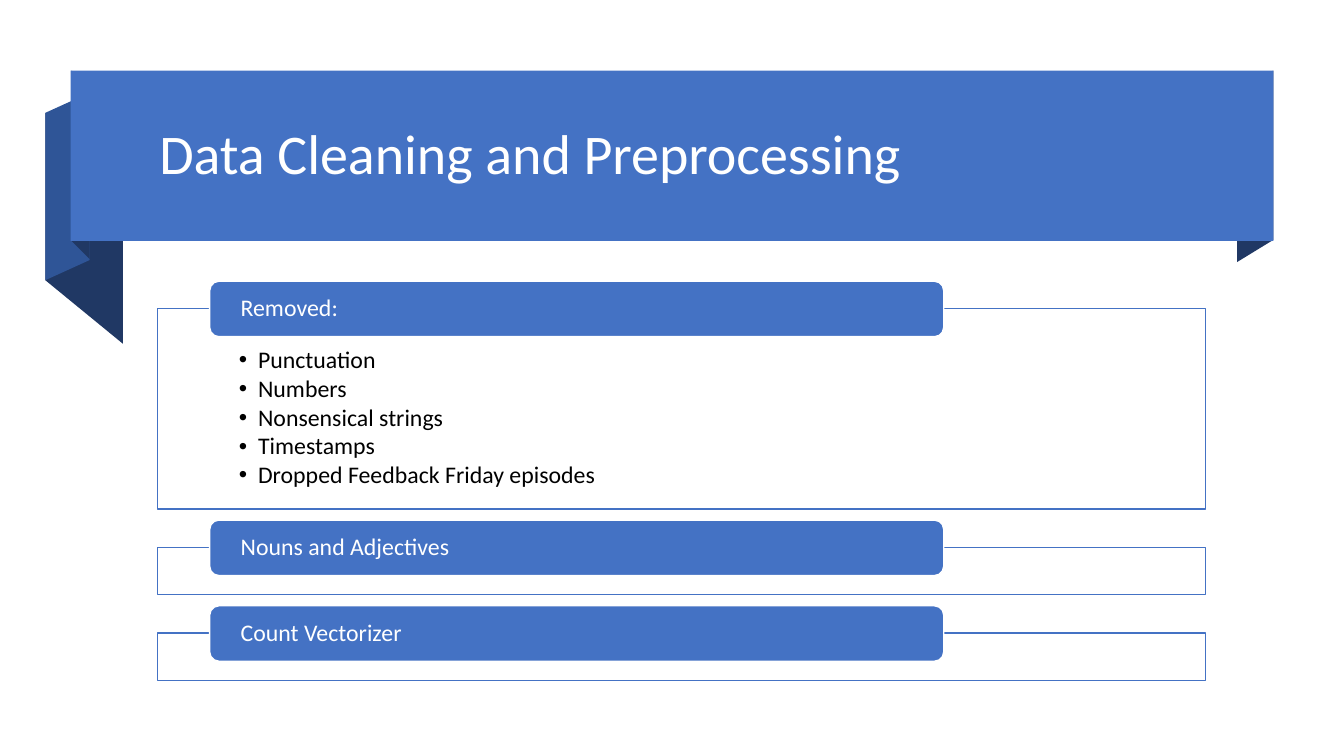
import dataclasses

import lxml.etree
import pptx
import pptx.dml.color
import pptx.enum.shapes
import pptx.enum.text
import pptx.oxml.ns
import pptx.shapes.autoshape
import pptx.slide
import pptx.text.text
import pptx.util

EMU_PER_PX = 9144
FONT = "Calibri"
BLUE = pptx.dml.color.RGBColor(0x44, 0x72, 0xC4)
MID_BLUE = pptx.dml.color.RGBColor(0x2F, 0x55, 0x97)
NAVY = pptx.dml.color.RGBColor(0x20, 0x38, 0x64)
WHITE = pptx.dml.color.RGBColor(0xFF, 0xFF, 0xFF)
BLACK = pptx.dml.color.RGBColor(0x00, 0x00, 0x00)
RECTANGLE = pptx.enum.shapes.MSO_SHAPE.RECTANGLE
ROUNDED = pptx.enum.shapes.MSO_SHAPE.ROUNDED_RECTANGLE

PANEL_LEFT, PANEL_WIDTH = 156, 1040
TAB_LEFT, TAB_WIDTH, TAB_HEIGHT = 208, 728, 55
TAB_RISE = 27
PANEL_GAP = 38
FIRST_PANEL_TOP = 306


@dataclasses.dataclass(frozen=True)
class Fold:
    points: tuple[tuple[int, int], ...]
    color: pptx.dml.color.RGBColor


@dataclasses.dataclass(frozen=True)
class Section:
    heading: str
    height: int
    items: tuple[str, ...] = ()


FOLDS = (
    Fold(((1263, 238), (1227, 260), (1227, 91), (1263, 70)), NAVY),
    Fold(((122, 341), (45, 278), (45, 112), (122, 175)), NAVY),
    Fold(((89, 258), (45, 278), (45, 112), (89, 92)), MID_BLUE),
    Fold(((89, 257), (71, 239), (71, 70), (89, 89)), NAVY),
)

SECTIONS = (
    Section(
        "Removed:",
        199,
        (
            "Punctuation",
            "Numbers",
            "Nonsensical strings",
            "Timestamps",
            "Dropped Feedback Friday episodes",
        ),
    ),
    Section("Nouns and Adjectives", 47),
    Section("Count Vectorizer", 47),
)


def px(length: int) -> pptx.util.Emu:
    return pptx.util.Emu(length * EMU_PER_PX)


def set_insets(
    frame: pptx.text.text.TextFrame, side: int, top: int, bottom: int
) -> None:
    frame.word_wrap = True
    frame.margin_left = frame.margin_right = px(side)
    frame.margin_top, frame.margin_bottom = px(top), px(bottom)


def format_para(
    para: pptx.text.text._Paragraph,
    size: int,
    color: pptx.dml.color.RGBColor,
    space_after: float = 0,
) -> None:
    para.alignment = pptx.enum.text.PP_ALIGN.LEFT
    para.line_spacing = 0.9
    para.space_after = pptx.util.Pt(space_after)
    for span in para.runs:
        span.font.name = FONT
        span.font.size = pptx.util.Pt(size)
        span.font.color.rgb = color


def add_bullet(para: pptx.text.text._Paragraph) -> None:
    properties = para._p.get_or_add_pPr()
    properties.set("marL", str(px(19)))
    properties.set("indent", str(px(-19)))
    font = lxml.etree.SubElement(properties, pptx.oxml.ns.qn("a:buFont"))
    font.set("typeface", "Arial")
    bullet = lxml.etree.SubElement(properties, pptx.oxml.ns.qn("a:buChar"))
    bullet.set("char", "•")


def add_box(
    page: pptx.slide.Slide,
    kind: pptx.enum.shapes.MSO_SHAPE,
    left: int,
    top: int,
    width: int,
    height: int,
    fill: pptx.dml.color.RGBColor,
    line: pptx.dml.color.RGBColor | None = None,
) -> pptx.shapes.autoshape.Shape:
    box = page.shapes.add_shape(kind, px(left), px(top), px(width), px(height))
    box.shadow.inherit = False
    box.fill.solid()
    box.fill.fore_color.rgb = fill
    if line is None:
        box.line.fill.background()
    else:
        box.line.color.rgb = line
        box.line.width = pptx.util.Pt(1)
    return box


def add_fold(page: pptx.slide.Slide, fold: Fold) -> None:
    builder = page.shapes.build_freeform(*fold.points[0], scale=EMU_PER_PX)
    builder.add_line_segments(fold.points[1:], close=True)
    shape = builder.convert_to_shape()
    shape.shadow.inherit = False
    shape.fill.solid()
    shape.fill.fore_color.rgb = fold.color
    shape.line.fill.background()


def add_title(page: pptx.slide.Slide) -> None:
    banner = add_box(page, RECTANGLE, 70, 70, 1193, 169, BLUE)
    title = page.shapes.title
    banner.element.addnext(title.element)
    title.left, title.top = px(148), px(83)
    title.width, title.height = px(1094), px(145)
    frame = title.text_frame
    frame.text = "Data Cleaning and Preprocessing"
    frame.vertical_anchor = pptx.enum.text.MSO_ANCHOR.MIDDLE
    set_insets(frame, 10, 5, 5)
    format_para(frame.paragraphs[0], 40, WHITE)


def add_section(page: pptx.slide.Slide, section: Section, top: int) -> None:
    panel = add_box(
        page, RECTANGLE, PANEL_LEFT, top, PANEL_WIDTH, section.height, WHITE, BLUE
    )
    color = panel.element.spPr.find(pptx.oxml.ns.qn("a:solidFill"))[0]
    lxml.etree.SubElement(color, pptx.oxml.ns.qn("a:alpha")).set("val", "90000")
    if section.items:
        frame = panel.text_frame
        frame.text = "\n".join(section.items)
        frame.vertical_anchor = pptx.enum.text.MSO_ANCHOR.TOP
        set_insets(frame, 81, 39, 13)
        for para in frame.paragraphs:
            para.level = 1
            format_para(para, 17, BLACK, 2.25)
            add_bullet(para)

    tab = add_box(
        page, ROUNDED, TAB_LEFT, top - TAB_RISE, TAB_WIDTH, TAB_HEIGHT, BLUE, WHITE
    )
    tab.text_frame.text = section.heading
    tab.text_frame.vertical_anchor = pptx.enum.text.MSO_ANCHOR.MIDDLE
    set_insets(tab.text_frame, 28, 0, 0)
    format_para(tab.text_frame.paragraphs[0], 17, WHITE)


def main() -> None:
    deck = pptx.Presentation()
    deck.slide_width, deck.slide_height = px(1333), px(750)
    page = deck.slides.add_slide(deck.slide_layouts.get_by_name("Title Only"))
    for fold in FOLDS:
        add_fold(page, fold)
    add_title(page)
    top = FIRST_PANEL_TOP
    for section in SECTIONS:
        add_section(page, section, top)
        top += section.height + PANEL_GAP
    deck.save("out.pptx")


if __name__ == "__main__":
    main()
